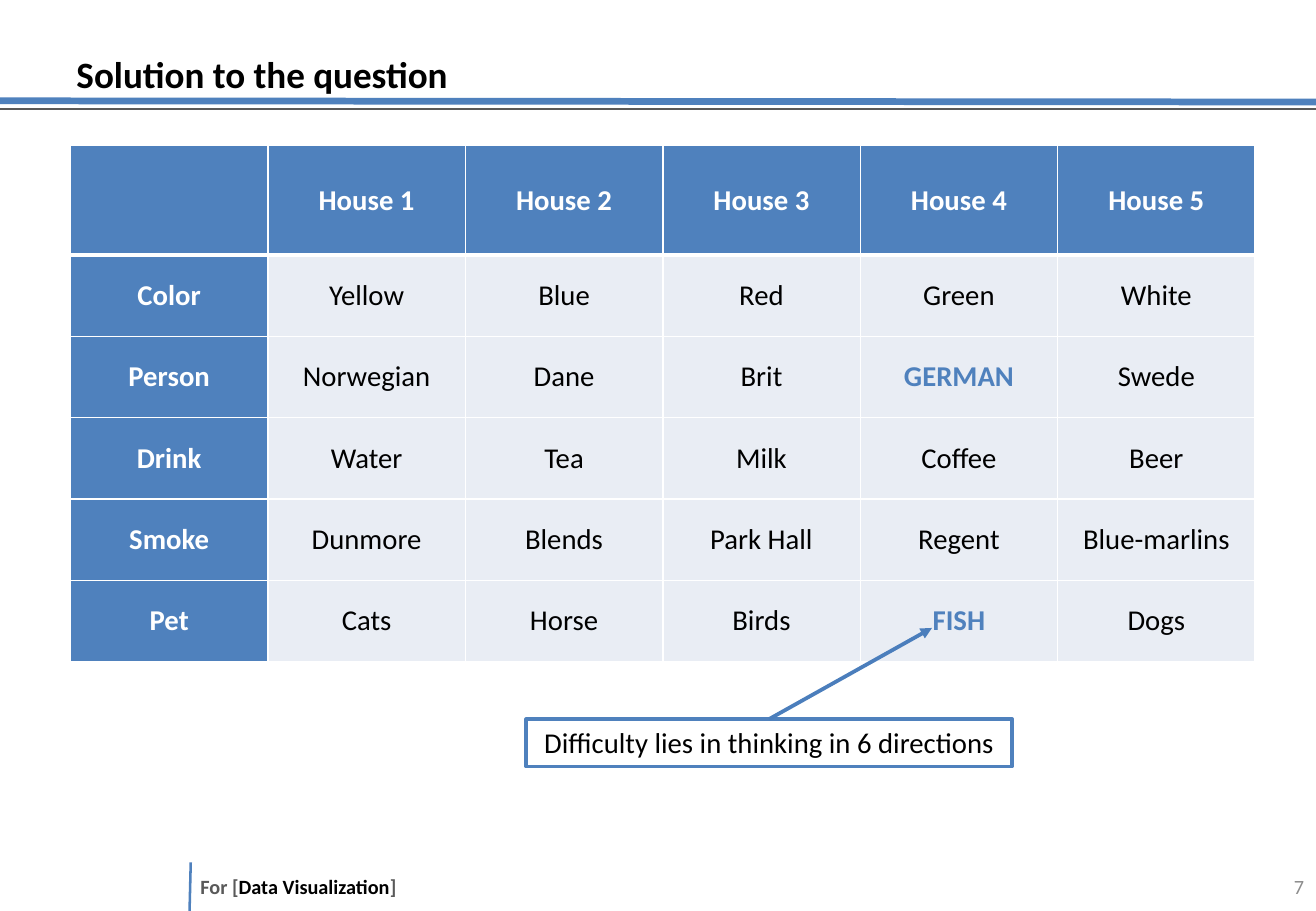
from lxml import etree
from pptx import Presentation
from pptx.dml.color import RGBColor
from pptx.enum import shapes, text
from pptx.oxml import ns
from pptx.util import Inches, Pt

COLORS = {"blue": "4F81BD", "arrow": "4B7EBC", "pale": "E9EDF4",
          "white": "FFFFFF", "black": "000000", "gray": "595959", "number": "8C8C8C"}
FONT = "Calibri"

TITLE = "Solution to the question"
HOUSES = [
    ("", "House 1", "House 2", "House 3", "House 4", "House 5"),
    ("Color", "Yellow", "Blue", "Red", "Green", "White"),
    ("Person", "Norwegian", "Dane", "Brit", "GERMAN", "Swede"),
    ("Drink", "Water", "Tea", "Milk", "Coffee", "Beer"),
    ("Smoke", "Dunmore", "Blends", "Park Hall", "Regent", "Blue-marlins"),
    ("Pet", "Cats", "Horse", "Birds", "FISH", "Dogs"),
]
ANSWERS = {"GERMAN", "FISH"}
NOTE = "Difficulty lies in thinking in 6 directions"
FOOTER = [("For [", "gray"), ("Data Visualization", "black"), ("]", "gray")]
PAGE = "7"
# start, end, color, width in points
RULES = [
    ((1.57, 7.1), (1.56, 7.5), "blue", 1.5),
    ((0, 0.83), (10.83, 0.84), "blue", 4),
    ((0, 0.9), (10.83, 0.9), "gray", 1),
]
HEADER_HEIGHT, ROW_HEIGHT = 0.9, 0.67
ALIGN, ANCHOR = text.PP_ALIGN, text.MSO_ANCHOR


def rgb(name):
    return RGBColor.from_string(COLORS[name])


def add_run(paragraph, words, size, color, bold=False):
    run = paragraph.add_run()
    run.text = words
    run.font.name, run.font.size, run.font.bold = FONT, Pt(size), bold
    run.font.color.rgb = rgb(color)


def add_label(slide, box, runs, size, bold, anchor, align, insets):
    """Add a text box; runs are (words, color), insets left, top, right, bottom."""
    frame = slide.shapes.add_textbox(*map(Inches, box)).text_frame
    frame.word_wrap, frame.vertical_anchor = True, anchor
    (frame.margin_left, frame.margin_top,
     frame.margin_right, frame.margin_bottom) = map(Inches, insets)
    paragraph = frame.paragraphs[0]
    paragraph.alignment = align
    for words, color in runs:
        add_run(paragraph, words, size, color, bold)
    return paragraph


def add_rule(slide, start, end, color, width):
    rule = slide.shapes.add_connector(shapes.MSO_CONNECTOR.STRAIGHT,
                                      *map(Inches, (*start, *end)))
    rule.line.color.rgb, rule.line.width = rgb(color), Pt(width)
    etree.SubElement(rule._element.spPr, ns.qn("a:effectLst"))
    return rule


def set_borders(cell, row):
    """White borders, heavier between the header and the first row."""
    widths = {"lnL": 1, "lnR": 1, "lnT": 3 if row == 1 else 1, "lnB": 3 if row == 0 else 1}
    for side, width in widths.items():
        border = etree.SubElement(cell._tc.get_or_add_tcPr(), ns.qn(f"a:{side}"),
                                  w=str(Pt(width)))
        fill = etree.SubElement(border, ns.qn("a:solidFill"))
        etree.SubElement(fill, ns.qn("a:srgbClr"), val=COLORS["white"])


def add_house_table(slide):
    heights = [HEADER_HEIGHT] + [ROW_HEIGHT] * (len(HOUSES) - 1)
    table = slide.shapes.add_table(len(HOUSES), len(HOUSES[0]), Inches(0.58), Inches(1.2),
                                   Inches(9.75), Inches(sum(heights))).table
    for row, height in enumerate(heights):
        table.rows[row].height = Inches(height)
        for column, words in enumerate(HOUSES[row]):
            cell = table.cell(row, column)
            heading = row == 0 or column == 0
            answer = words in ANSWERS
            set_borders(cell, row)
            cell.fill.solid()
            cell.fill.fore_color.rgb = rgb("blue" if heading else "pale")
            cell.vertical_anchor = ANCHOR.MIDDLE
            cell.margin_left = cell.margin_right = Inches(0.03)
            cell.margin_top = cell.margin_bottom = Inches(0.03)
            if words:
                paragraph = cell.text_frame.paragraphs[0]
                paragraph.alignment = ALIGN.CENTER
                color = "white" if heading else "blue" if answer else "black"
                add_run(paragraph, words, 17, color, heading or answer)


def add_note(slide):
    note = slide.shapes.add_shape(shapes.MSO_SHAPE.RECTANGLE,
                                  *map(Inches, (4.33, 5.92, 4, 0.39)))
    note.shadow.inherit = False
    note.fill.solid()
    note.fill.fore_color.rgb = rgb("white")
    note.line.color.rgb, note.line.width = rgb("blue"), Pt(2)
    note.text_frame.word_wrap = True
    note.text_frame.vertical_anchor = ANCHOR.TOP
    paragraph = note.text_frame.paragraphs[0]
    paragraph.alignment = ALIGN.CENTER
    add_run(paragraph, NOTE, 17, "black")

    arrow = add_rule(slide, (6.33, 5.92), (7.67, 5.17), "arrow", 2.25)
    arrow.begin_connect(note, 0)
    etree.SubElement(arrow.line._get_or_add_ln(), ns.qn("a:tailEnd"), type="triangle")


def main():
    deck = Presentation()
    deck.slide_width, deck.slide_height = Inches(10.83), Inches(7.5)
    slide = deck.slides.add_slide(deck.slide_layouts[6])
    for rule in RULES:
        add_rule(slide, *rule)
    add_label(slide, (1.65, 7.1, 3.43, 0.4), FOOTER, 12, True,
              ANCHOR.MIDDLE, ALIGN.LEFT, (0, 0.05, 0.1, 0.05))
    title = add_label(slide, (0.58, 0.07, 8.86, 0.77), [(TITLE, "black")], 22, True,
                      ANCHOR.BOTTOM, ALIGN.LEFT, (0.05,) * 4)
    title.line_spacing = Pt(22)
    add_label(slide, (10.29, 7.1, 0.54, 0.4), [(PAGE, "number")], 12, False,
              ANCHOR.MIDDLE, ALIGN.RIGHT, (0.1, 0.05, 0.1, 0.05))
    add_house_table(slide)
    add_note(slide)
    deck.save("out.pptx")


if __name__ == "__main__":
    main()
